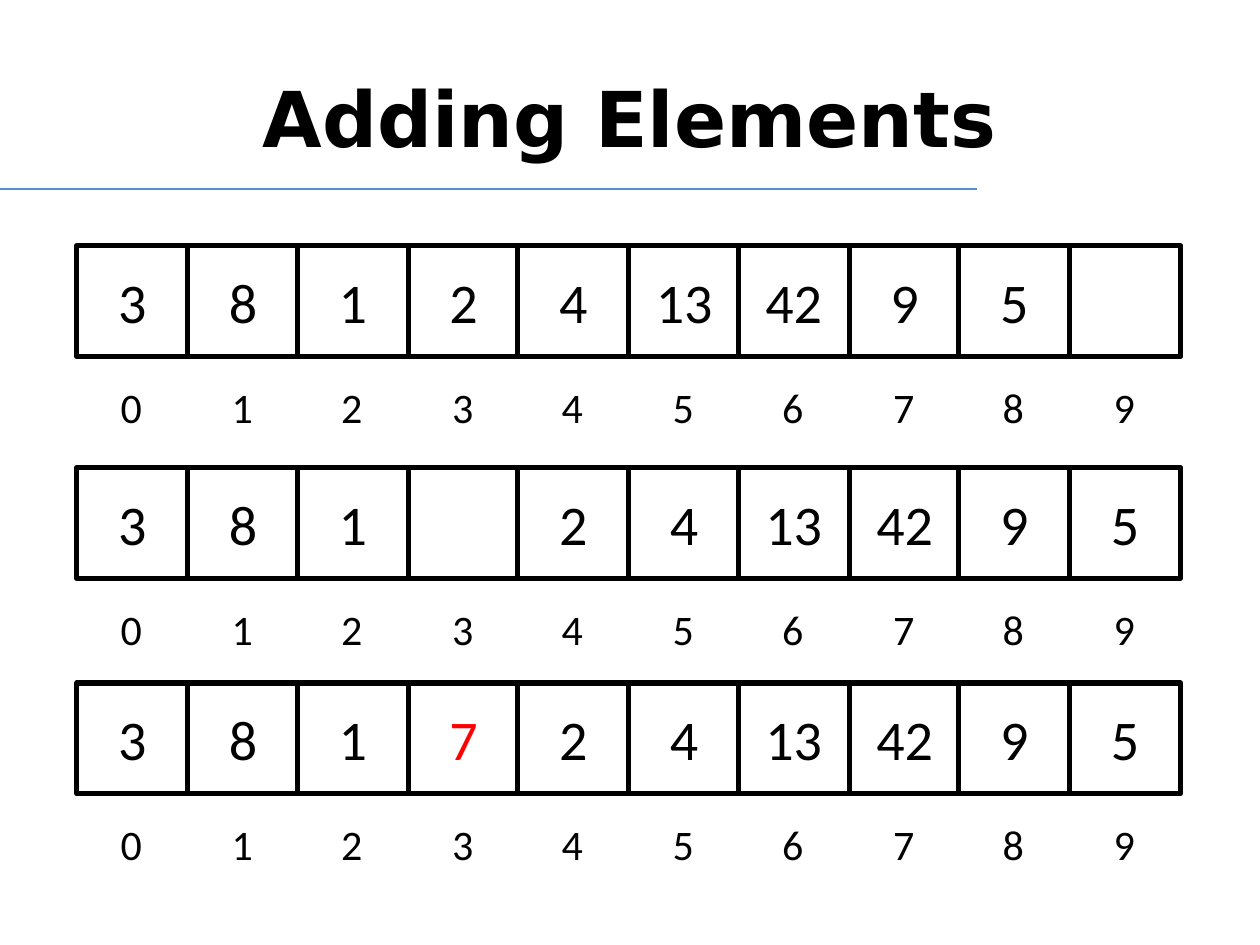
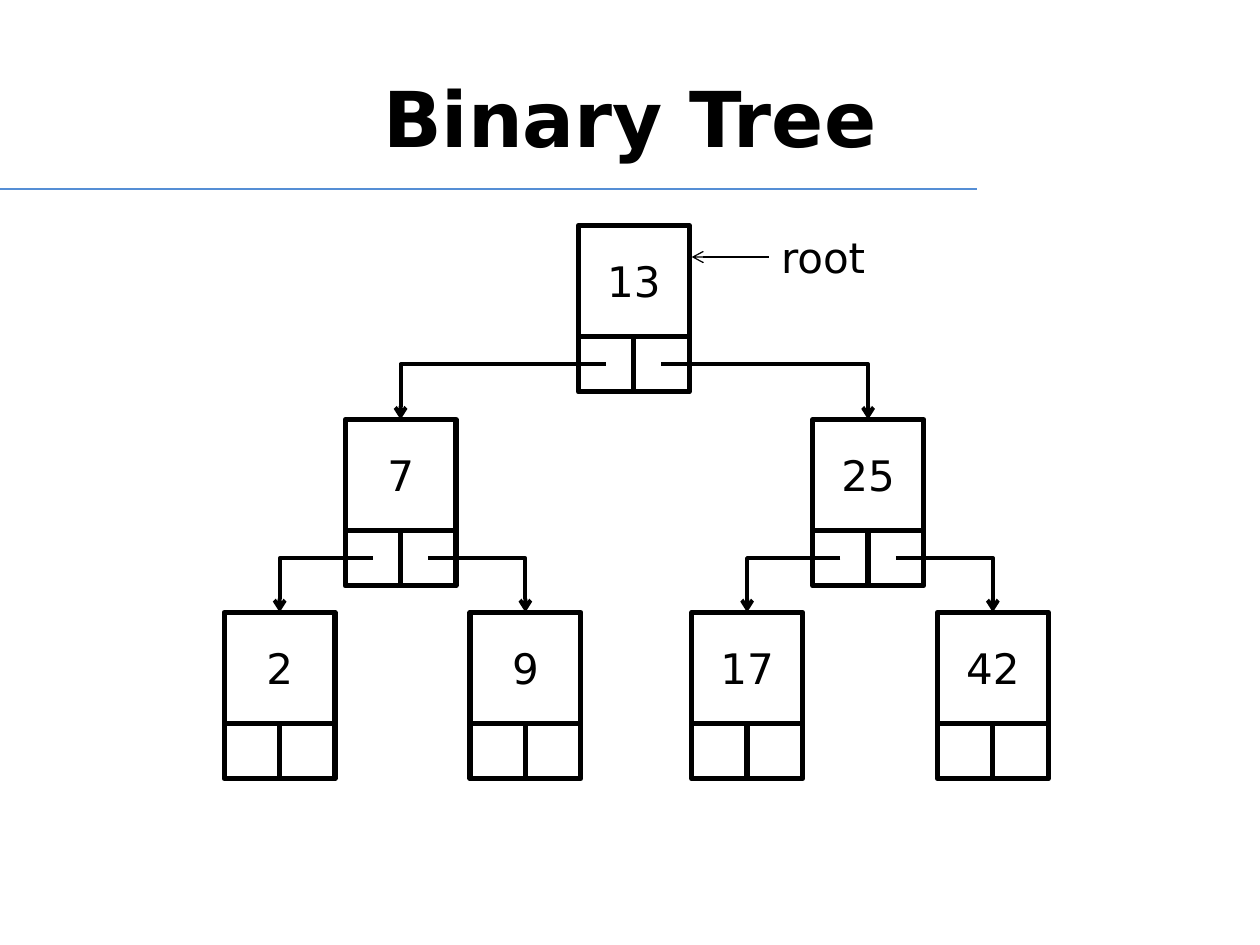
import pptx
import pptx.dml.color
import pptx.enum.shapes
import pptx.enum.text
import pptx.oxml
import pptx.oxml.ns
import pptx.util

PX = pptx.util.Inches(1) // 100
COLORS = {"ink": "000000", "paper": "FFFFFF", "rule": "558ED5", "new": "FF0000"}
FORMATS = {
    "title": {"size": pptx.util.Pt(44), "name": "DejaVu Sans", "bold": True},
    "cell": {"size": pptx.util.Pt(32), "name": "Calibri"},
    "index": {"size": pptx.util.Pt(24), "name": "Calibri"},
    "node": {"size": pptx.util.Pt(24), "name": "DejaVu Sans"},
}
CENTER = pptx.enum.text.PP_ALIGN.CENTER
MIDDLE = pptx.enum.text.MSO_ANCHOR.MIDDLE
CONNECTOR = pptx.enum.shapes.MSO_CONNECTOR

CELL = 88
HALF = CELL // 2
ARRAY_LEFT = 61
ARRAYS = {
    195: ["3", "8", "1", "2", "4", "13", "42", "9", "5", ""],
    371: ["3", "8", "1", "", "2", "4", "13", "42", "9", "5"],
    542: ["3", "8", "1", "7", "2", "4", "13", "42", "9", "5"],
}
INSERTED = "7"

NODES = {
    "13": (459, 179),
    "7": (274, 333),
    "25": (645, 333),
    "2": (178, 486),
    "9": (373, 486),
    "17": (549, 486),
    "42": (744, 486),
}
CHILDREN = {"13": ("7", "25"), "7": ("2", "9"), "25": ("17", "42")}


def rgb(color):
    return pptx.dml.color.RGBColor.from_string(COLORS[color])


def emu(*lengths):
    return [length * PX for length in lengths]


class Painter:
    def __init__(self):
        self.deck = pptx.Presentation()
        self.deck.slide_width, self.deck.slide_height = emu(1000, 750)
        self.layout = self.deck.slide_layouts[5]
        self.page = None

    def add_page(self, title):
        self.page = self.deck.slides.add_slide(self.layout)
        box = self.page.shapes.title
        box.left, box.top, box.width, box.height = emu(50, 30, 900, 125)
        box.text_frame.auto_size = pptx.enum.text.MSO_AUTO_SIZE.NONE
        self.put_text(box, title, "title", align=CENTER)

    def put_text(self, box, text, style, color="ink", align=None):
        frame = box.text_frame
        if align is not None:
            frame.vertical_anchor = MIDDLE
        para = frame.paragraphs[0]
        para.alignment = align
        span = para.add_run()
        span.text = text
        for name, value in FORMATS[style].items():
            setattr(span.font, name, value)
        span.font.color.rgb = rgb(color)

    def square(self, left, top, side, text="", style="cell", color="ink"):
        kind = pptx.enum.shapes.MSO_SHAPE.RECTANGLE
        box = self.page.shapes.add_shape(kind, *emu(left, top, side, side))
        box.shadow.inherit = False
        box.fill.solid()
        box.fill.fore_color.rgb = rgb("paper")
        box.line.color.rgb = rgb("ink")
        box.line.width = pptx.util.Pt(3)
        if text:
            self.put_text(box, text, style, color, CENTER)
        return box

    def label(self, left, top, width, text, style):
        box = self.page.shapes.add_textbox(*emu(left, top, width, 50))
        box.text_frame.word_wrap = False
        box.text_frame.auto_size = pptx.enum.text.MSO_AUTO_SIZE.SHAPE_TO_FIT_TEXT
        self.put_text(box, text, style)
        return box

    def line(self, start, end, weight=0.75, color="ink", arrow=True, bent=False):
        kind = CONNECTOR.ELBOW if bent else CONNECTOR.STRAIGHT
        line = self.page.shapes.add_connector(kind, *emu(*start, *end))
        line.line.color.rgb = rgb(color)
        line.line.width = pptx.util.Pt(weight)
        properties = line.element.spPr
        if bent:
            properties.find(pptx.oxml.ns.qn("a:prstGeom")).set("prst", "bentConnector2")
        if arrow:
            head = pptx.oxml.parse_xml(
                f'<a:tailEnd {pptx.oxml.ns.nsdecls("a")} type="arrow"/>')
            properties.find(pptx.oxml.ns.qn("a:ln")).append(head)
        properties.append(pptx.oxml.parse_xml(
            f'<a:effectLst {pptx.oxml.ns.nsdecls("a")}/>'))
        return line

    def title_rule(self):
        rule = self.line((0, 150), (775, 150), color="rule", arrow=False)
        self.layout.shapes.element.append(rule.element)

    def array(self, top, values):
        for index, value in enumerate(values):
            left = ARRAY_LEFT + (175 * index + 1) // 2
            color = "new" if value == INSERTED else "ink"
            self.square(left, top, CELL, value, color=color)
            self.label(left + 25, top + 103, 37, str(index), "index")

    def node(self, left, top, value):
        box = self.square(left, top, CELL, value, "node")
        for offset in (0, HALF):
            self.square(left + offset, top + CELL, HALF)
        return box


def main():
    painter = Painter()

    painter.add_page("Adding Elements")
    painter.title_rule()
    for top, values in ARRAYS.items():
        painter.array(top, values)

    painter.add_page("Binary Tree")
    boxes = {value: painter.node(*place, value) for value, place in NODES.items()}
    for parent, children in CHILDREN.items():
        left, top = NODES[parent]
        for side, child in enumerate(children):
            start = (left + HALF // 2 + side * HALF, top + CELL + HALF // 2)
            child_left, child_top = NODES[child]
            branch = painter.line(start, (child_left + HALF, child_top), 2.25, bent=True)
            branch.end_connect(boxes[child], 0)
    root = painter.label(610, 179, 89, "root", "node")
    pointer = painter.line((610, 204), (549, 204))
    pointer.begin_connect(root, 1)

    painter.deck.save("out.pptx")


if __name__ == "__main__":
    main()
